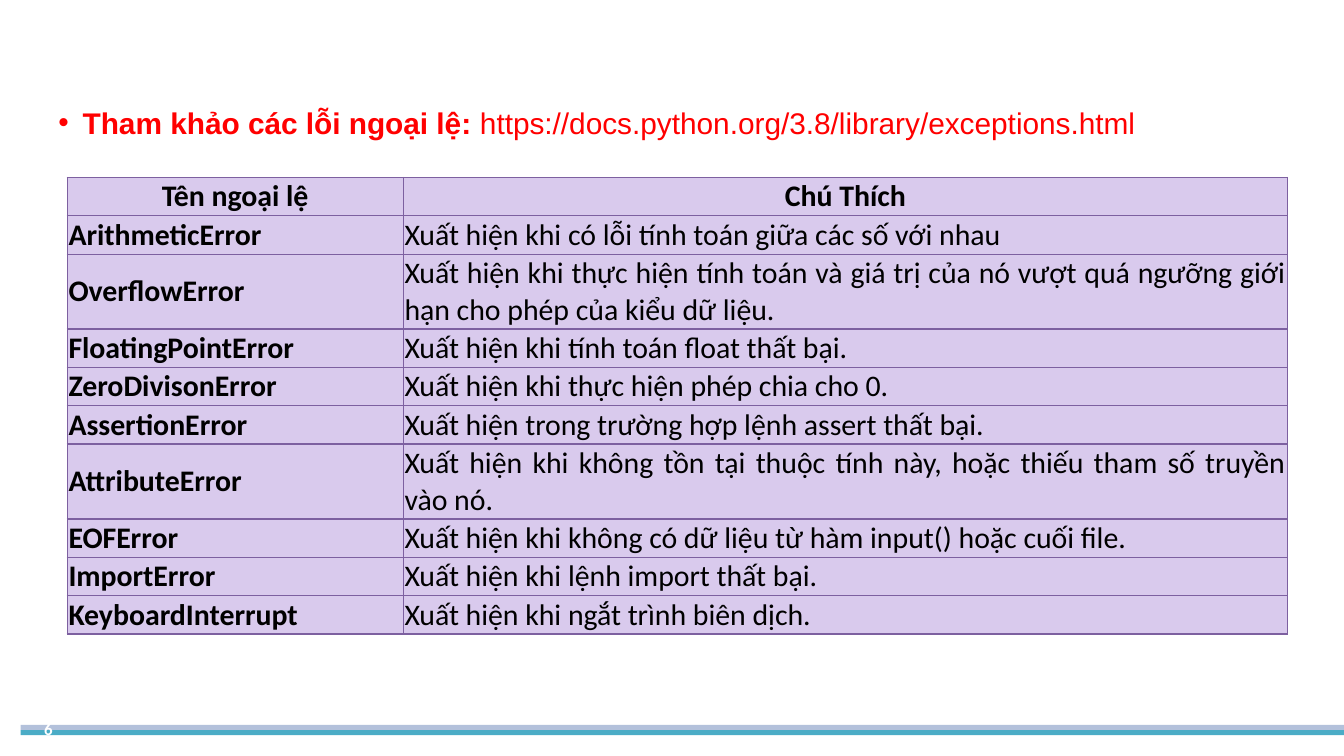
from dataclasses import dataclass

from lxml import etree
from pptx import Presentation
from pptx.dml.color import RGBColor
from pptx.enum.shapes import MSO_SHAPE
from pptx.enum.text import MSO_ANCHOR, MSO_AUTO_SIZE, PP_ALIGN
from pptx.oxml.ns import qn
from pptx.util import Inches, Pt

RECT, OVAL = MSO_SHAPE.RECTANGLE, MSO_SHAPE.OVAL
LEFT, MID, RIGHT, JUST = PP_ALIGN.LEFT, PP_ALIGN.CENTER, PP_ALIGN.RIGHT, PP_ALIGN.JUSTIFY
TOP, MIDDLE = MSO_ANCHOR.TOP, MSO_ANCHOR.MIDDLE
FIXED = MSO_AUTO_SIZE.NONE

# A 16:9 slide on a grid of 100 columns by 56.25 rows
COLS, ROWS = 100, 56.25
WIDE = Inches(10)
HIGH = WIDE * 9 // 16


@dataclass(frozen=True)
class Theme:
    head: str = "Arial"
    body: str = "Calibri"
    size: int = 16
    small: int = 9
    red: str = "FF0000"
    ink: str = "000000"
    white: str = "FFFFFF"
    pale: str = "B3C1DB"
    teal: str = "4BACC6"
    cell: str = "D9CAED"
    line: str = "7D60A0"


def write(para, text, font="Calibri", size=16, color="000000", bold=False, align=LEFT):
    """Add one formatted run to a paragraph."""
    para.alignment = align
    run = para.add_run()
    run.text = text
    run.font.name, run.font.size, run.font.bold = font, Pt(size), bold
    run.font.color.rgb = RGBColor.from_string(color)


class Page:
    def __init__(self, deck, theme):
        self.theme = theme
        self.slide = deck.slides.add_slide(deck.slide_layouts[1])
        title = self.slide.shapes.title.element
        title.getparent().remove(title)

    def box(self, col, row, wide, high):
        return (int(WIDE * col / COLS), int(HIGH * row / ROWS),
                int(WIDE * wide / COLS), int(HIGH * high / ROWS))

    def shape(self, kind, area, color=None):
        item = self.slide.shapes.add_shape(kind, *self.box(*area))
        item.shadow.inherit = False
        item.line.fill.background()
        if color:
            item.fill.solid()
            item.fill.fore_color.rgb = RGBColor.from_string(color)
        else:
            item.fill.background()
        return item

    def number(self, text, area):
        frame = self.shape(OVAL, area).text_frame
        frame.margin_left = frame.margin_right = Inches(0.07)
        frame.margin_top = frame.margin_bottom = Inches(0.04)
        frame.vertical_anchor = MIDDLE
        write(frame.paragraphs[0], text, size=self.theme.small,
              color=self.theme.white, bold=True, align=RIGHT)

    def bullet(self, parts, area):
        body = self.slide.placeholders[1]
        body.left, body.top, body.width, body.height = self.box(*area)
        frame = body.text_frame
        frame.auto_size, frame.vertical_anchor = FIXED, TOP
        para = frame.paragraphs[0]
        para.space_before = para.space_after = Pt(2.6)
        for text, bold in parts:
            write(para, text, font=self.theme.head, size=self.theme.size,
                  color=self.theme.red, bold=bold, align=JUST)
        props = para._p.get_or_add_pPr()
        props.set("marL", str(Inches(0.18)))
        props.set("indent", str(-Inches(0.18)))
        etree.SubElement(props, qn("a:buFont"), typeface=self.theme.head)
        etree.SubElement(props, qn("a:buChar"), char="•")

    def border(self, cell):
        props = cell._tc.get_or_add_tcPr()
        for side in ("a:lnL", "a:lnR", "a:lnT", "a:lnB"):
            line = etree.SubElement(props, qn(side), w=str(Pt(0.75)))
            fill = etree.SubElement(line, qn("a:solidFill"))
            etree.SubElement(fill, qn("a:srgbClr"), val=self.theme.line)

    def cell(self, cell, text, bold, align):
        self.border(cell)
        cell.fill.solid()
        cell.fill.fore_color.rgb = RGBColor.from_string(self.theme.cell)
        cell.margin_left = cell.margin_right = Inches(0.01)
        cell.margin_top = cell.margin_bottom = Pt(0.5)
        cell.vertical_anchor = MIDDLE
        write(cell.text_frame.paragraphs[0], text, font=self.theme.body,
              size=self.theme.size, color=self.theme.ink, bold=bold, align=align)

    def table(self, rows, area, widths, step, tall):
        frame = self.slide.shapes.add_table(len(rows), len(widths), *self.box(*area))
        grid = frame.table
        for col, wide in zip(grid.columns, widths):
            col.width = int(WIDE * wide / COLS)
        for i, (name, note) in enumerate(rows):
            lines = 2 if i in tall else 1
            grid.rows[i].height = int(HIGH * step * lines / ROWS)
            self.cell(grid.cell(i, 0), name, True, LEFT if i else MID)
            self.cell(grid.cell(i, 1), note, i == 0, JUST if i else MID)


ERRORS = [
    ("Tên ngoại lệ", "Chú Thích"),
    ("ArithmeticError", "Xuất hiện khi có lỗi tính toán giữa các số với nhau"),
    ("OverflowError", "Xuất hiện khi thực hiện tính toán và giá trị của nó vượt quá "
                      "ngưỡng giới hạn cho phép của kiểu dữ liệu."),
    ("FloatingPointError", "Xuất hiện khi tính toán float thất bại."),
    ("ZeroDivisonError", "Xuất hiện khi thực hiện phép chia cho 0."),
    ("AssertionError", "Xuất hiện trong trường hợp lệnh assert thất bại."),
    ("AttributeError", "Xuất hiện khi không tồn tại thuộc tính này, hoặc thiếu "
                       "tham số truyền vào nó."),
    ("EOFError", "Xuất hiện khi không có dữ liệu từ hàm input() hoặc cuối file."),
    ("ImportError", "Xuất hiện khi lệnh import thất bại."),
    ("KeyboardInterrupt", "Xuất hiện khi ngắt trình biên dịch."),
]


def main():
    deck = Presentation()
    deck.slide_width, deck.slide_height = WIDE, HIGH
    theme = Theme()
    page = Page(deck, theme)

    # Footer bars and page number
    for i, color in enumerate((theme.pale, theme.teal)):
        page.shape(RECT, (1.53, 53.94 + 0.38 * i, 98.6, 0.38), color)
    page.number("6", (0.35, 52.3, 5, 3.8))

    # Reference line
    page.bullet([("Tham khảo các lỗi ngoại lệ: ", True),
                 ("https://docs.python.org/3.8/library/exceptions.html", False)],
                (3.35, 7.3, 94.3, 2.7))

    # Table of exceptions; rows 2 and 6 hold two lines
    page.table(ERRORS, (5, 13.2, 90.8, 33.3), widths=(25, 65.8), step=2.78, tall=(2, 6))

    deck.save("out.pptx")


if __name__ == "__main__":
    main()
